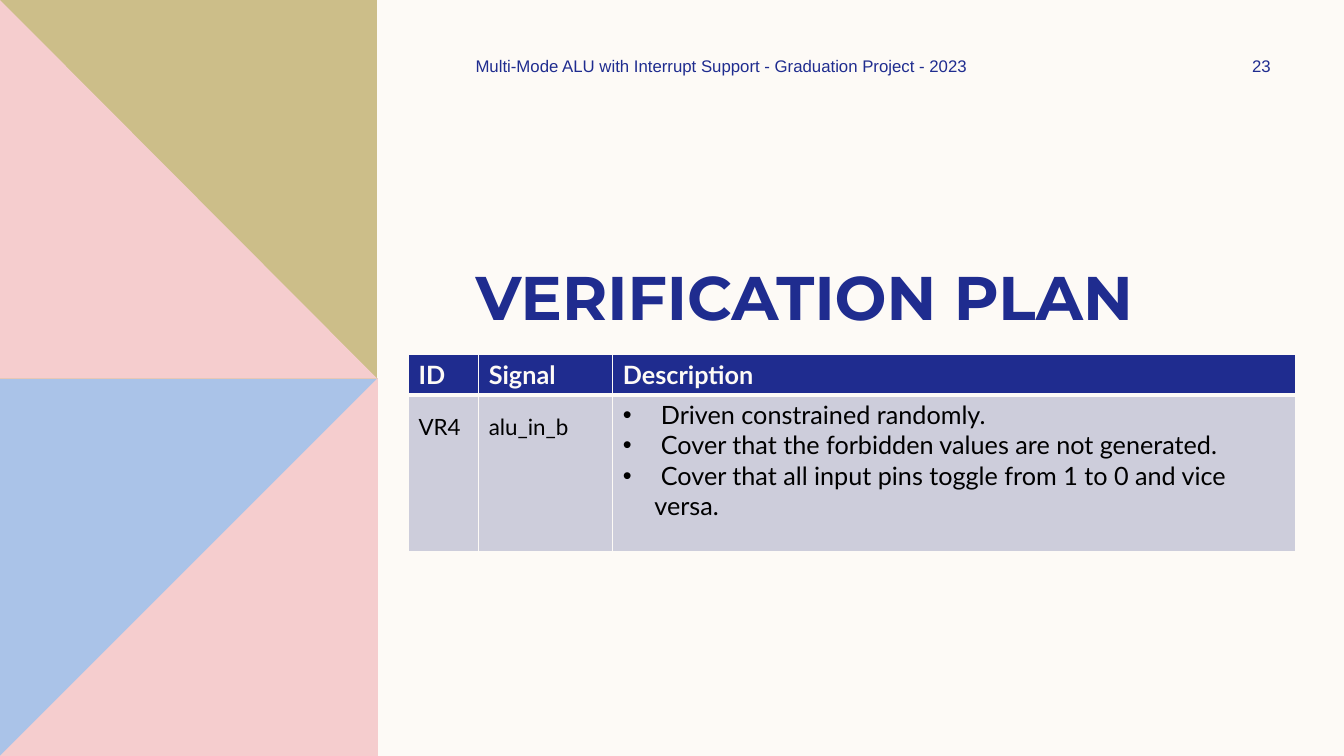
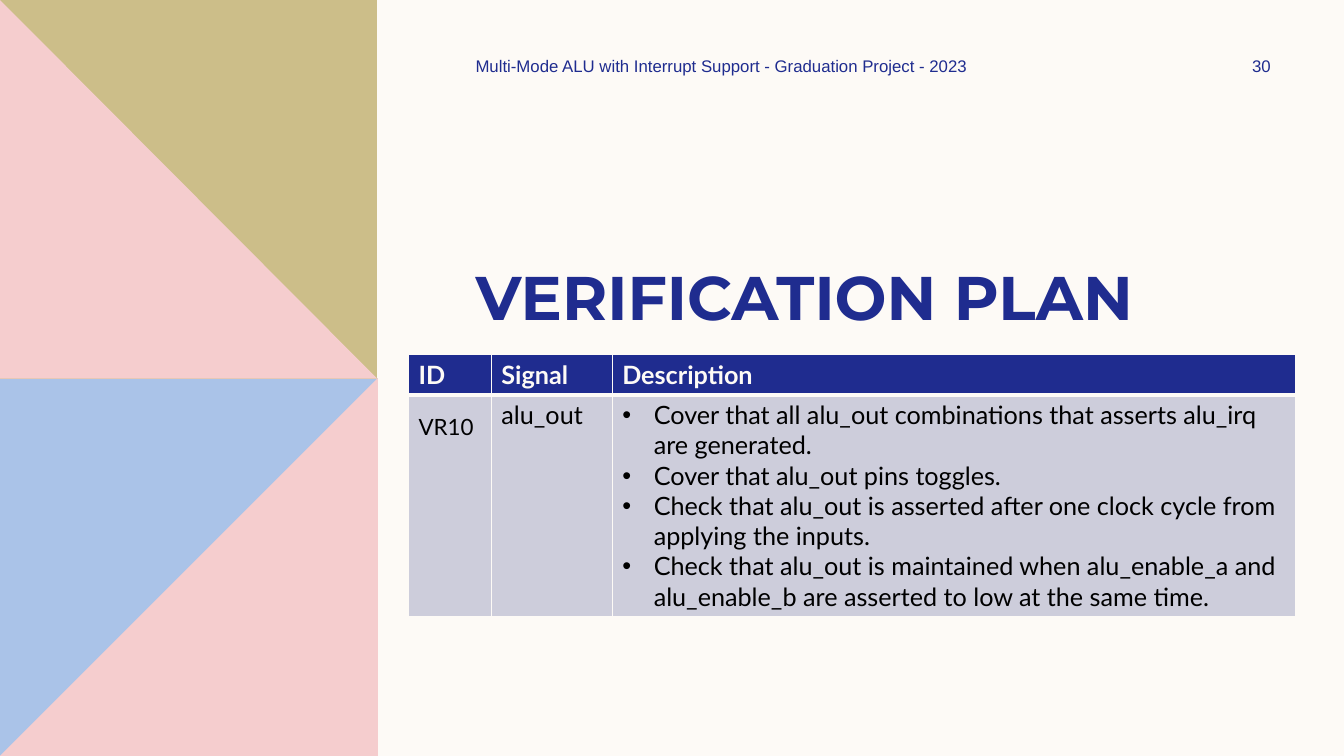
from pptx import Presentation
from pptx.dml.color import RGBColor
from pptx.enum.text import MSO_ANCHOR, PP_ALIGN
from pptx.oxml import parse_xml
from pptx.oxml.ns import nsdecls
from pptx.util import Pt

HUES = {"cream": "FDFAF6", "navy": "1F2C8F", "blue": "AAC3E8", "pink": "F5CDCE",
        "olive": "CCBE89", "grey": "CDCDDB", "black": "000000"}
FONTS = {
    "title": {"name": "Montserrat", "size": Pt(44), "bold": True},
    "band": {"name": "Arial", "size": Pt(12), "bold": False},
    "head": {"name": "Lato", "size": Pt(18), "bold": True},
    "body": {"name": "Lato", "size": Pt(18), "bold": False},
    "small": {"name": "Lato", "size": Pt(16), "bold": False},
}
# Left panel: colour and corner points, back to front
PANEL = [
    ("blue", [(0, 270), (270, 270), (270, 540), (0, 540)]),
    ("pink", [(270, 270), (270, 540), (0, 540)]),
    ("olive", [(0, 0), (269.5, 0), (269.5, 270.5), (0, 270.5)]),
    ("pink", [(0, 0), (269.5, 270.5), (0, 270.5)]),
]
BAND = "Multi-Mode ALU with Interrupt Support - Graduation Project - 2023"
HEADS = ["ID", "Signal", "Description"]
# Each slide: number, column widths, body height, cell styles, cell texts
PAGES = [
    ("23", [50.2, 95.8, 488], 112, ["small", "small", "body"],
     [["VR4"], ["alu_in_b"],
      [" Driven constrained randomly.",
       " Cover that the forbidden values are not generated.",
       " Cover that all input pins toggle from 1 to 0 and vice versa."]]),
    ("30", [59.2, 86.3, 488], 157, ["small", "body", "body"],
     [["VR10"], ["alu_out"],
      ["Cover that all alu_out combinations that asserts alu_irq are generated.",
       "Cover that alu_out pins toggles.",
       "Check that alu_out is asserted after one clock cycle from applying the inputs.",
       "Check that alu_out is maintained when alu_enable_a and alu_enable_b "
       "are asserted to low at the same time."]]),
]


def write(para, text, kind, hue):
    run = para.add_run()
    run.text = text
    for key, val in FONTS[kind].items():
        setattr(run.font, key, val)
    run.font.color.rgb = RGBColor.from_string(HUES[hue])


def paint(cell, hue, top, base):
    # Borders come before the fill in the cell properties
    props = cell._tc.get_or_add_tcPr()
    for side, width in (("L", 1), ("R", 1), ("T", top), ("B", base)):
        props.append(parse_xml(
            f'<a:ln{side} {nsdecls("a")} w="{Pt(width)}"><a:solidFill>'
            f'<a:srgbClr val="{HUES["cream"]}"/></a:solidFill></a:ln{side}>'))
    cell.fill.solid()
    cell.fill.fore_color.rgb = RGBColor.from_string(HUES[hue])


deck = Presentation()
deck.slide_width, deck.slide_height = Pt(960), Pt(540)
back = deck.slide_master.background.fill
back.solid()
back.fore_color.rgb = RGBColor.from_string(HUES["cream"])

for num, widths, height, kinds, texts in PAGES:
    slide = deck.slides.add_slide(deck.slide_layouts[5])
    shapes = slide.shapes

    # Left panel
    for hue, spots in PANEL:
        spots = [(Pt(x), Pt(y)) for x, y in spots]
        pen = shapes.build_freeform(*spots[0])
        pen.add_line_segments(spots[1:], close=True)
        part = pen.convert_to_shape()
        part.shadow.inherit = False
        part.fill.solid()
        part.fill.fore_color.rgb = RGBColor.from_string(HUES[hue])
        part.line.fill.background()

    # Title
    title = shapes.title
    place = {"left": 332.6, "top": 180, "width": 627, "height": 62}
    for key, val in place.items():
        setattr(title, key, Pt(val))
    title.text_frame.vertical_anchor = MSO_ANCHOR.MIDDLE
    para = title.text_frame.paragraphs[0]
    para.alignment = PP_ALIGN.LEFT
    write(para, "VERIFICATION PLAN", "title", "navy")

    # Top band and slide number
    for left, width, text, align in ((332.6, 432, BAND, PP_ALIGN.LEFT),
                                     (862, 78, num, PP_ALIGN.CENTER)):
        frame = shapes.add_textbox(Pt(left), Pt(36), Pt(width), Pt(21.6)).text_frame
        frame.word_wrap = True
        frame.vertical_anchor = MSO_ANCHOR.MIDDLE
        frame.paragraphs[0].alignment = align
        write(frame.paragraphs[0], text, "band", "navy")

    # Table
    table = shapes.add_table(2, 3, Pt(291.8), Pt(253), Pt(sum(widths)),
                             Pt(29 + height)).table
    table.rows[0].height, table.rows[1].height = Pt(29), Pt(height)
    for col, width in enumerate(widths):
        table.columns[col].width = Pt(width)
        head, body = table.cell(0, col), table.cell(1, col)
        paint(head, "navy", 1, 3)
        paint(body, "grey", 3, 1)
        write(head.text_frame.paragraphs[0], HEADS[col], "head", "cream")
        for row, text in enumerate(texts[col]):
            frame = body.text_frame
            para = frame.add_paragraph() if row else frame.paragraphs[0]
            write(para, text, kinds[col], "black")
            if kinds[col] == "small":
                para.line_spacing = 1.5
            if HEADS[col] == "Description":
                props = para._p.get_or_add_pPr()
                props.set("marL", str(Pt(22.5)))
                props.set("indent", str(-Pt(22.5)))
                props.append(parse_xml(f'<a:buFont {nsdecls("a")} typeface="Arial"/>'))
                props.append(parse_xml(f'<a:buChar {nsdecls("a")} char="•"/>'))

deck.save("out.pptx")
